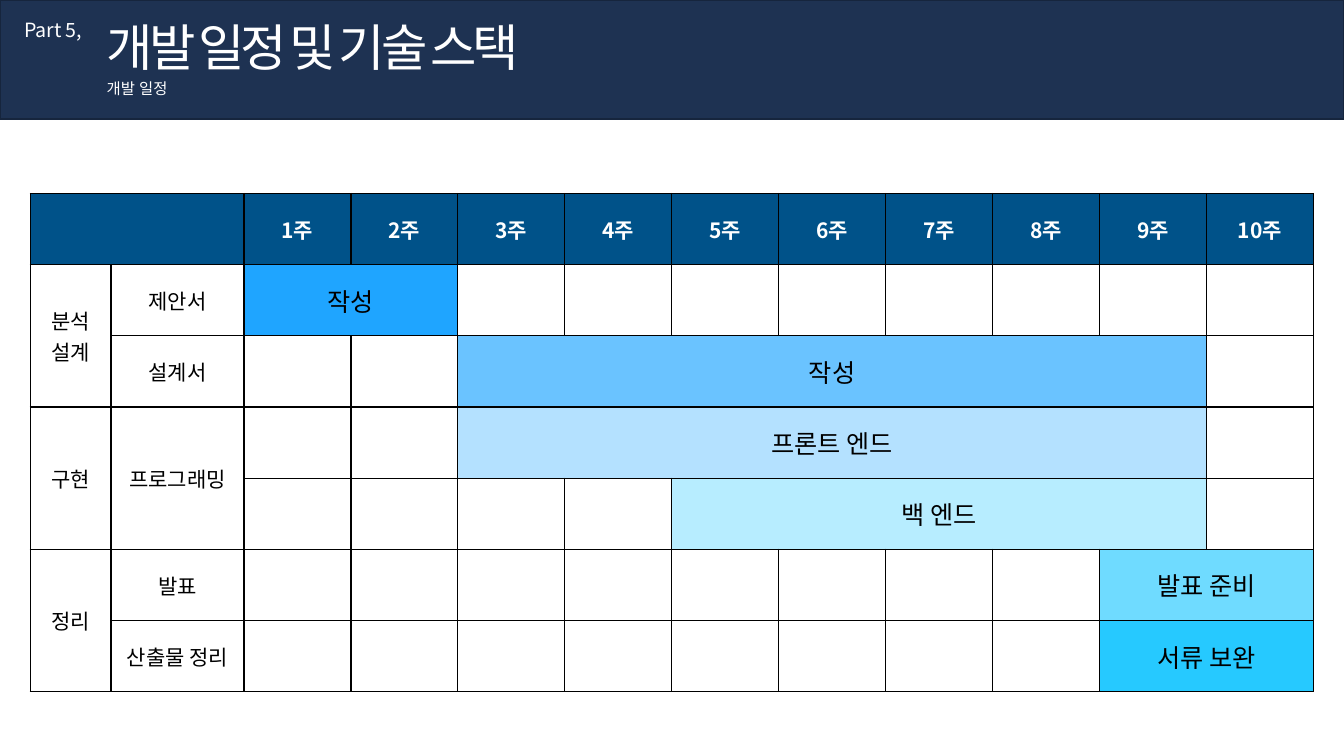
from lxml import etree
from pptx import Presentation
from pptx.dml.color import RGBColor
from pptx.enum import shapes, text
from pptx.oxml.ns import qn
from pptx.util import Inches, Pt

SANS, LATIN = "Noto Sans CJK KR", "Roboto"
WHITE, BLACK = "FFFFFF", "000000"
NAVY, NAVY_LINE, HEADER = "1E3252", "16253D", "005289"

TITLE = "개발 일정 및 기술 스택"
# text, (left, top, width, height), size, font
LABELS = [
    ("Part 5,", (0.14, 0.13, 0.84, 0.34), 14, SANS),
    ("개발 일정", (0.96, 0.74, 0.86, 0.29), 11, LATIN),
]
WEEKS = 10
# phase, its tasks as (name, bars), each bar on its own row:
# (text, first week, last week, colour)
PHASES = [
    ("분석 설계", [("제안서", [("작성", 1, 2, "1FA5FF")]),
               ("설계서", [("작성", 3, 9, "6AC3FF")])]),
    ("구현", [("프로그래밍", [("프론트 엔드", 3, 9, "B4E1FF"),
                       ("백 엔드", 5, 9, "B7EDFF")])]),
    ("정리", [("발표", [("발표 준비", 9, 10, "6FDBFF")]),
            ("산출물 정리", [("서류 보완", 9, 10, "26C9FF")])]),
]
TABLE_LEFT, TABLE_TOP, ROW_H = 0.3, 1.92, 0.706
COLUMNS = [0.8, 1.32] + [1.061] * WEEKS


def rgb(value):
    return RGBColor.from_string(value)


def add_run(p, words, size, color, font=SANS, bold=False):
    r = p.add_run()
    r.text = words
    r.font.size, r.font.bold, r.font.name = Pt(size), bold, font
    r.font.color.rgb = rgb(color)
    etree.SubElement(r.font._element, qn("a:ea"), typeface=font)
    return r


def place(sp, box):
    sp.left, sp.top, sp.width, sp.height = [Inches(v) for v in box]
    tf = sp.text_frame
    tf.word_wrap = False
    tf.auto_size = text.MSO_AUTO_SIZE.SHAPE_TO_FIT_TEXT
    tf.vertical_anchor = text.MSO_ANCHOR.TOP
    return tf.paragraphs[0]


def add_borders(cell):
    tcPr = cell._tc.get_or_add_tcPr()
    for i, side in enumerate(("lnL", "lnR", "lnT", "lnB")):
        ln = etree.Element(qn("a:" + side), w=str(Pt(1)))
        fill = etree.SubElement(ln, qn("a:solidFill"))
        etree.SubElement(fill, qn("a:srgbClr"), val=BLACK)
        tcPr.insert(i, ln)


def write_cell(cell, words, size=15, color=BLACK, fill=None, bold=False):
    if fill:
        cell.fill.solid()
        cell.fill.fore_color.rgb = rgb(fill)
    cell.vertical_anchor = text.MSO_ANCHOR.MIDDLE
    p = cell.text_frame.paragraphs[0]
    p.alignment = text.PP_ALIGN.CENTER
    add_run(p, words, size, color, bold=bold)


def add_header(s):
    banner = s.shapes.add_shape(shapes.MSO_SHAPE.RECTANGLE, 0, 0,
                                Inches(13.33), Inches(1.18))
    banner.shadow.inherit = False
    banner.fill.solid()
    banner.fill.fore_color.rgb = rgb(NAVY)
    banner.line.color.rgb = rgb(NAVY_LINE)
    banner.line.width = Pt(1)
    s.shapes._spTree.insert(2, banner._element)  # behind the title

    p = place(s.shapes.title, (0.96, 0.11, 4.91, 0.71))
    p.alignment = text.PP_ALIGN.LEFT
    r = add_run(p, TITLE, 36, WHITE)
    r.font._element.set("spc", "-300")
    for words, box, size, font in LABELS:
        sp = s.shapes.add_textbox(0, 0, 0, 0)
        add_run(place(sp, box), words, size, WHITE, font)


def add_schedule(s):
    n_rows = 1 + sum(len(bars) for _, tasks in PHASES for _, bars in tasks)
    frame = s.shapes.add_table(
        n_rows, len(COLUMNS), Inches(TABLE_LEFT), Inches(TABLE_TOP),
        Inches(sum(COLUMNS)), Inches(ROW_H * n_rows))
    table = frame.table
    table.first_row = table.horz_banding = False
    for column, width in zip(table.columns, COLUMNS):
        column.width = Inches(width)
    for row in table.rows:
        row.height = Inches(ROW_H)
    for cell in table.iter_cells():
        cell.fill.background()
        add_borders(cell)

    def merge(top, left, bottom, right):
        cell = table.cell(top, left)
        if (top, left) != (bottom, right):
            cell.merge(table.cell(bottom, right))
        return cell

    corner = merge(0, 0, 0, 1)
    corner.fill.solid()
    corner.fill.fore_color.rgb = rgb(HEADER)
    for week in range(1, WEEKS + 1):
        write_cell(table.cell(0, week + 1), f"{week}주", 15, WHITE, HEADER, True)

    row = 1
    for phase, tasks in PHASES:
        phase_top = row
        for task, bars in tasks:
            write_cell(merge(row, 1, row + len(bars) - 1, 1), task)
            for words, first, last, color in bars:
                write_cell(merge(row, first + 1, row, last + 1), words, 18,
                           fill=color)
                row += 1
        write_cell(merge(phase_top, 0, row - 1, 0), phase)


def main():
    prs = Presentation()
    prs.slide_width, prs.slide_height = Inches(13.33), Inches(7.5)
    s = prs.slides.add_slide(prs.slide_layouts[5])
    add_header(s)
    add_schedule(s)
    prs.save("out.pptx")


if __name__ == "__main__":
    main()
